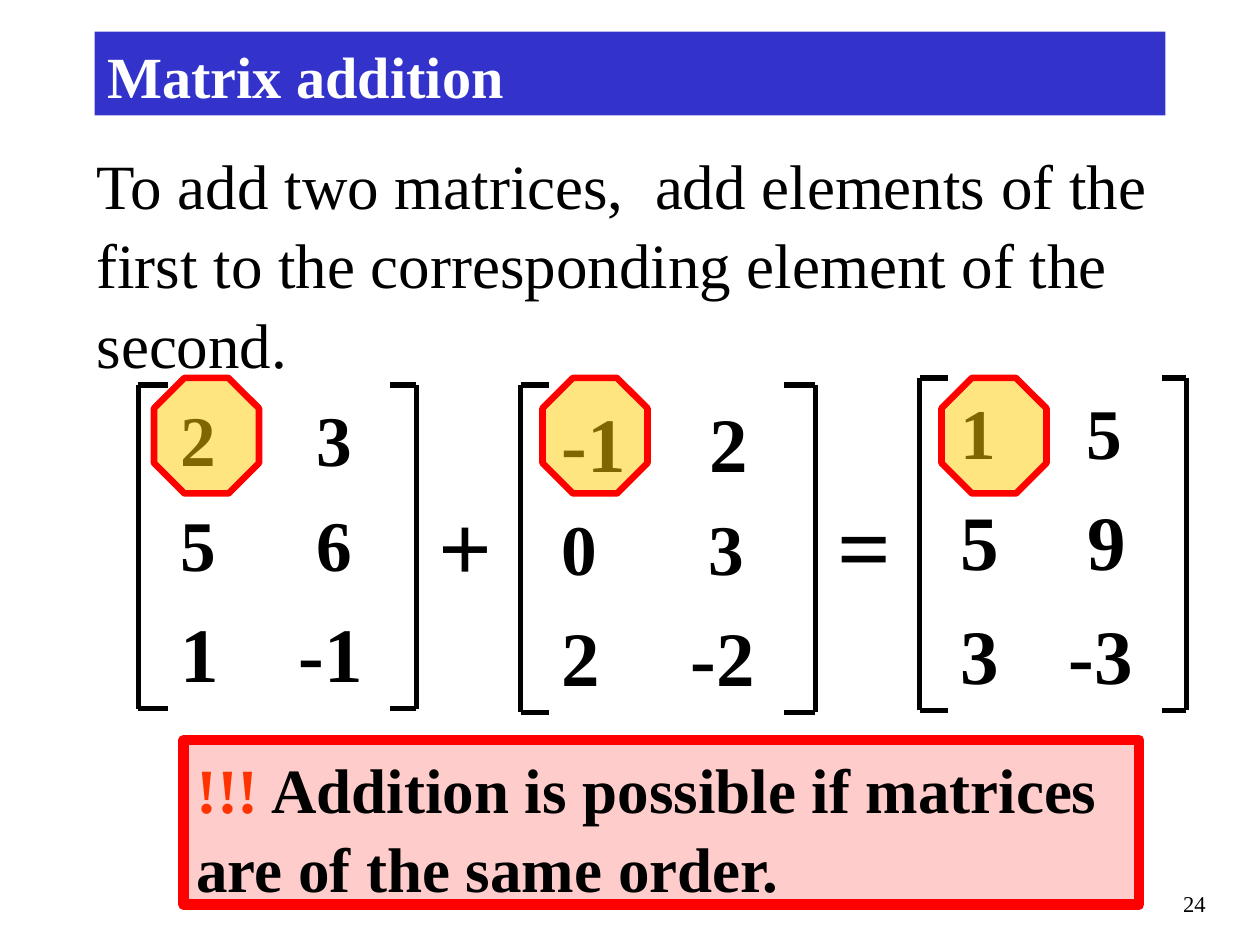
from lxml import etree
from pptx import Presentation
from pptx.dml.color import RGBColor
from pptx.enum import shapes, text
from pptx.oxml import ns
from pptx.util import Pt

COLORS = {
    "black": "000000", "white": "FFFFFF", "banner": "3333CC", "red": "FF0000",
    "highlight": "FFCC00", "note": "FFCCCC", "warning": "FF3300",
}
FONT = "Times New Roman"
LINE_SPACING = 1.05
INSET = 7.2
LARGE, SMALL = 44, 40.7


def color(name):
    return RGBColor.from_string(COLORS[name])


def format_run(run, size, color_name="black", bold=False):
    run.font.name = FONT
    run.font.size = Pt(size)
    run.font.bold = bold
    run.font.color.rgb = color(color_name)


def format_frame(frame, anchor=text.MSO_ANCHOR.TOP, left_inset=INSET):
    frame.word_wrap = True
    frame.auto_size = text.MSO_AUTO_SIZE.NONE
    frame.vertical_anchor = anchor
    frame.margin_left, frame.margin_right = Pt(left_inset), Pt(INSET)
    frame.margin_top = frame.margin_bottom = Pt(INSET / 2)


def fill_text(shape, content, size, color_name="black", bold=False,
              align=text.PP_ALIGN.LEFT):
    shape.text_frame.text = content
    paragraph = shape.text_frame.paragraphs[0]
    paragraph.alignment = align
    paragraph.line_spacing = LINE_SPACING
    paragraph.space_before = Pt(0)
    format_run(paragraph.runs[0], size, color_name, bold)
    return paragraph


def place(shape, left, top, width, height):
    shape.left, shape.top = Pt(left), Pt(top)
    shape.width, shape.height = Pt(width), Pt(height)


def add_label(slide, box, content, size, bold=True, left_inset=INSET,
              align=text.PP_ALIGN.LEFT):
    label = slide.shapes.add_textbox(*map(Pt, box))
    format_frame(label.text_frame, left_inset=left_inset)
    fill_text(label, content, size, bold=bold, align=align)


def add_title(slide, content):
    title = slide.shapes.title
    place(title, 54, 18, 612, 48)
    title.fill.solid()
    title.fill.fore_color.rgb = color("banner")
    format_frame(title.text_frame, text.MSO_ANCHOR.MIDDLE)
    fill_text(title, content, 33.3, "white", True)


def add_body(slide, content):
    body = slide.placeholders[1]
    place(body, 48, 78, 636, 137)
    format_frame(body.text_frame)
    paragraph = fill_text(body, content, 36)
    properties = paragraph._p.get_or_add_pPr()
    properties.set("marL", "0")
    properties.set("indent", "0")
    etree.SubElement(properties, ns.qn("a:buNone"))


def add_line(slide, start, end):
    line = slide.shapes.add_connector(
        shapes.MSO_CONNECTOR.STRAIGHT, *map(Pt, start + end))
    line.line.color.rgb = color("black")
    line.line.width = Pt(3)
    etree.SubElement(line._element.spPr, ns.qn("a:effectLst"))


def add_bracket(slide, outer, inner, top, bottom):
    add_line(slide, (outer, top), (outer, bottom))
    for y in (top, bottom):
        add_line(slide, (outer, y), (inner, y))


def add_matrix(slide, left, right, top, columns, rows):
    first, second, end = columns
    y = top
    for height, cells in rows:
        spans = ((first, second), (second, end))
        for index, ((x, next_x), (value, size)) in enumerate(zip(spans, cells)):
            indent = size / 4 if index and not value.startswith("-") else 0
            add_label(slide, (x, y, next_x - x, height), value, size,
                      left_inset=INSET + indent)
        y += height
    add_bracket(slide, left, first, top, y)
    add_bracket(slide, right, end, top, y)


def add_shape(slide, kind, box, fill, line_width):
    shape = slide.shapes.add_shape(kind, *map(Pt, box))
    shape.shadow.inherit = False
    shape.fill.solid()
    shape.fill.fore_color.rgb = color(fill)
    shape.line.color.rgb = color("red")
    shape.line.width = Pt(line_width)
    return shape


def add_highlight(slide, left):
    octagon = add_shape(slide, shapes.MSO_SHAPE.OCTAGON, (left, 216, 60, 66),
                        "highlight", 3.75)
    octagon.adjustments[0] = 0.29
    fill_color = octagon._element.spPr.find(ns.qn("a:solidFill"))[0]
    etree.SubElement(fill_color, ns.qn("a:alpha"), val="50000")


def add_note(slide, mark, content):
    note = add_shape(slide, shapes.MSO_SHAPE.RECTANGLE, (105, 423, 546, 94),
                     "note", 6)
    format_frame(note.text_frame)
    paragraph = fill_text(note, mark, 36, "warning", True)
    run = paragraph.add_run()
    run.text = content
    format_run(run, 36, bold=True)


def main():
    presentation = Presentation()
    presentation.slide_width, presentation.slide_height = Pt(720), Pt(540)
    slide = presentation.slides.add_slide(presentation.slide_layouts[1])

    add_title(slide, "Matrix addition")
    add_body(slide, "To add two matrices,  add elements of the first to the "
                    "corresponding element of the second.")
    add_label(slide, (546, 504, 150, 24), "24", 12.9, bold=False,
              align=text.PP_ALIGN.RIGHT)

    add_matrix(slide, 79, 238, 220, (96, 163.5, 223), [
        (60, (("2", SMALL), ("3", SMALL))),
        (60, (("5", SMALL), ("6", SMALL))),
        (65, (("1", LARGE), ("-1", LARGE))),
    ])
    add_matrix(slide, 297.5, 466, 220, (314, 387.5, 448), [
        (62, (("-1", LARGE), ("2", LARGE))),
        (60, (("0", SMALL), ("3", SMALL))),
        (65, (("2", LARGE), ("-2", LARGE))),
    ])
    add_matrix(slide, 525.5, 678, 216, (542, 603.5, 664), [
        (60, (("1", SMALL), ("5", SMALL))),
        (65, (("5", LARGE), ("9", LARGE))),
        (65, (("3", LARGE), ("-3", LARGE))),
    ])
    for operator, left in (("+", 243.5), ("=", 471.5)):
        add_label(slide, (left, 271.5, 42, 137), operator, 54)
    for left in (88, 310, 538):
        add_highlight(slide, left)
    add_note(slide, "!!!", " Addition is possible if matrices are of the same order.")

    presentation.save("out.pptx")


if __name__ == "__main__":
    main()
